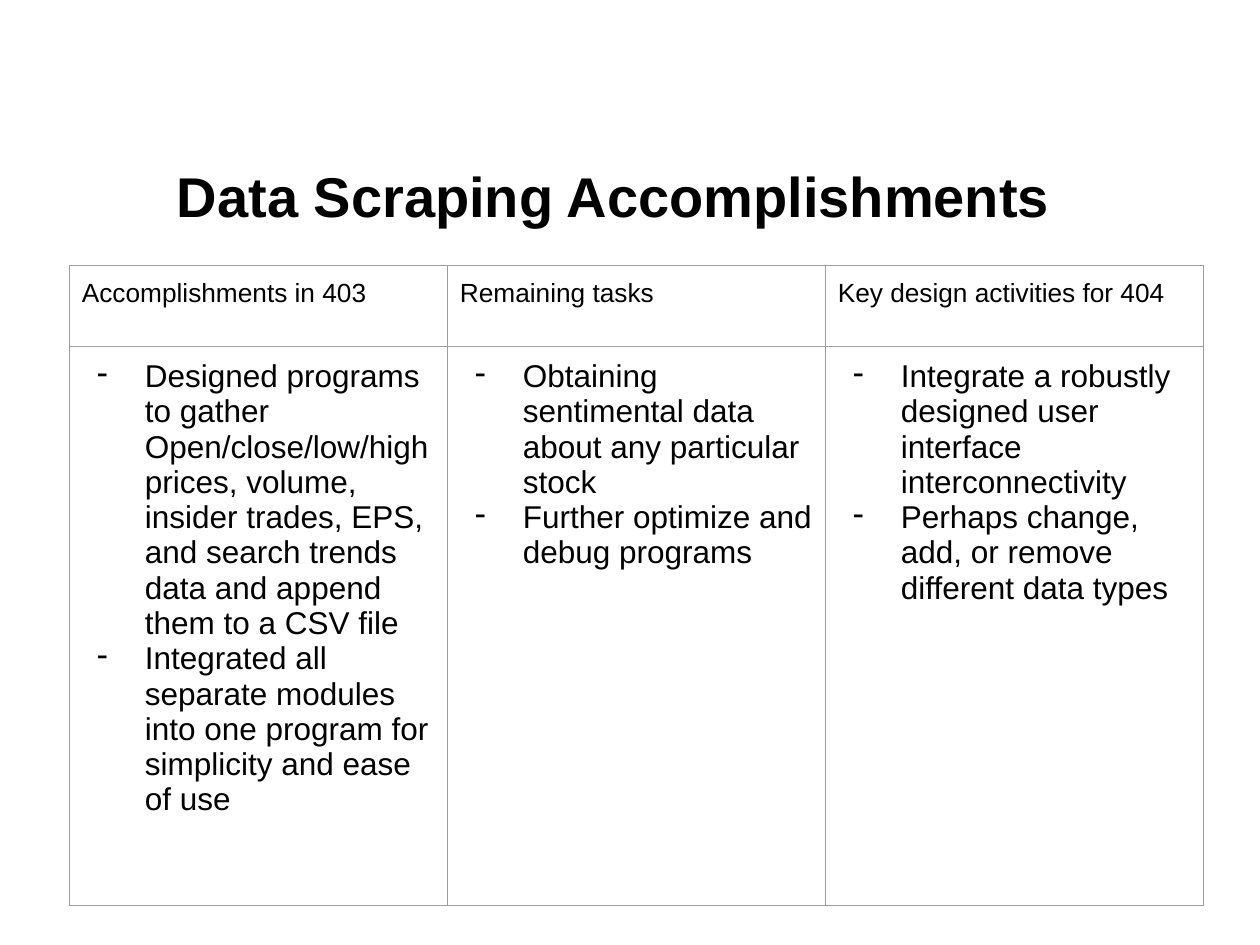
from lxml import etree
from pptx import Presentation
from pptx import util as u
from pptx.dml.color import RGBColor
from pptx.enum import text
from pptx.oxml.ns import qn

BLACK, GREY = "000000", "9E9E9E"
COLUMNS = [
    ("Accomplishments in 403", [
        "Designed programs to gather Open/close/low/high prices, volume, insider trades, EPS, "
        "and search trends data and append them to a CSV file",
        "Integrated all separate modules into one program for simplicity and ease of use"]),
    ("Remaining tasks", [
        "Obtaining sentimental data about any particular stock",
        "Further optimize and debug programs"]),
    ("Key design activities for 404", [
        "Integrate a robustly designed user interface interconnectivity",
        "Perhaps change, add, or remove different data types"]),
]
COL_WIDTH = 3
ROW_HEIGHTS = (0.64, 4.44)


def rgb(value):
    return RGBColor.from_string(value)


def write(p, words, size, bold=False, color=BLACK, align=text.PP_ALIGN.LEFT):
    p.alignment = align
    r = p.add_run()
    r.text = words
    r.font.name, r.font.size, r.font.bold = "Arial", u.Pt(size), bold
    r.font.color.rgb = rgb(color)


def add_dash(p):
    """Give the paragraph a hanging dash bullet."""
    pPr = p._p.get_or_add_pPr()
    pPr.set("marL", str(u.Inches(0.5)))
    pPr.set("indent", str(u.Inches(-0.38)))
    color = etree.SubElement(pPr, qn("a:buClr"))
    etree.SubElement(color, qn("a:srgbClr"), val=BLACK)
    etree.SubElement(pPr, qn("a:buChar"), char="-")


def style_cell(cell):
    """Set equal margins, thin grey borders and no fill."""
    cell.margin_left = cell.margin_right = u.Inches(0.1)
    cell.margin_top = cell.margin_bottom = u.Inches(0.1)
    tcPr = cell._tc.get_or_add_tcPr()
    for side in ("lnL", "lnR", "lnT", "lnB"):
        line = etree.SubElement(tcPr, qn(f"a:{side}"), w=str(u.Pt(0.75)))
        fill = etree.SubElement(line, qn("a:solidFill"))
        etree.SubElement(fill, qn("a:srgbClr"), val=GREY)
    cell.fill.background()


def add_title(s, words):
    title = s.shapes.title
    title.left, title.top = u.Inches(0.5), u.Inches(1.11)
    title.width, title.height = u.Inches(9), u.Inches(0.88)
    tf = title.text_frame
    tf.vertical_anchor = text.MSO_ANCHOR.MIDDLE
    tf.margin_right = u.Inches(0.36)
    write(tf.paragraphs[0], words, 32, bold=True, align=text.PP_ALIGN.CENTER)


def add_summary_table(s, columns):
    frame = s.shapes.add_table(
        len(ROW_HEIGHTS), len(columns), u.Inches(0.55), u.Inches(2.11),
        u.Inches(COL_WIDTH * len(columns)), u.Inches(sum(ROW_HEIGHTS)))
    table = frame.table
    table.first_row = table.horz_banding = False
    for row, height in zip(table.rows, ROW_HEIGHTS):
        row.height = u.Inches(height)
    for col, (heading, items) in enumerate(columns):
        head, body = table.cell(0, col), table.cell(1, col)
        style_cell(head)
        style_cell(body)
        write(head.text_frame.paragraphs[0], heading, 15)
        tf = body.text_frame
        for i, item in enumerate(items):
            p = tf.add_paragraph() if i else tf.paragraphs[0]
            write(p, item, 18)
            add_dash(p)


def main():
    prs = Presentation()
    prs.slide_width, prs.slide_height = u.Inches(10), u.Inches(7.5)
    s = prs.slides.add_slide(prs.slide_layouts[5])
    add_title(s, "Data Scraping Accomplishments")
    add_summary_table(s, COLUMNS)
    prs.save("out.pptx")


if __name__ == "__main__":
    main()
